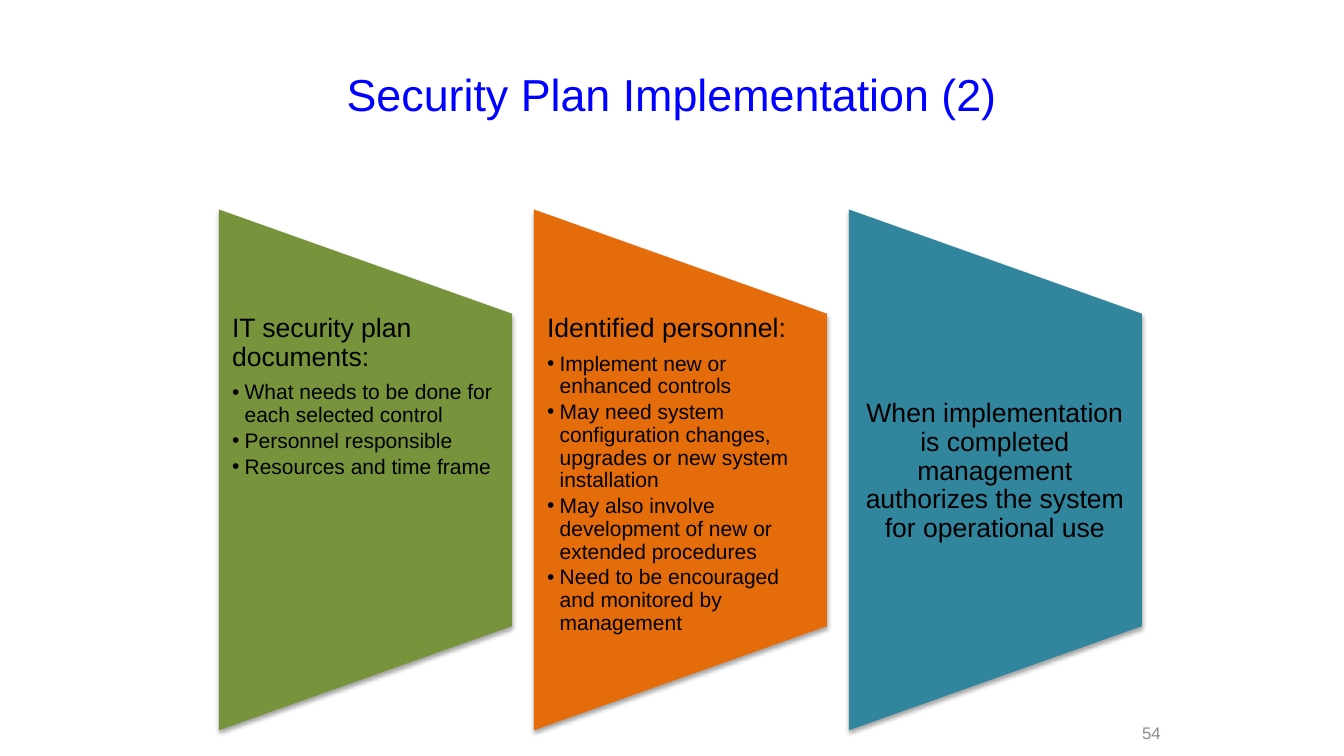
from lxml import etree
from pptx import Presentation
from pptx.dml.color import RGBColor
from pptx.enum.shapes import MSO_SHAPE as Preset
from pptx.enum.text import MSO_ANCHOR as Anchor, MSO_AUTO_SIZE as AutoSize, PP_ALIGN as Align
from pptx.oxml.ns import qn
from pptx.util import Emu, Pt

COLOURS = {
    "title": "0000FF",
    "text": "000000",
    "number": "8C8C8C",
    "green": "77933C",
    "orange": "E46C0A",
    "teal": "31859C",
}
TWO_CONTENT_LAYOUT = 3
PANEL_LEFT, PANEL_TOP, PANEL_WIDTH, PANEL_HEIGHT, PANEL_PITCH = 208, 200, 279, 496, 300
TEXT_TOP, TEXT_HEIGHT = 300, 298

DOCUMENTS = [
    "IT security plan documents:",
    "What needs to be done for each selected control",
    "Personnel responsible",
    "Resources and time frame",
]
PERSONNEL = [
    "Identified personnel:",
    "Implement new or enhanced controls",
    "May need system configuration changes, upgrades or new system installation",
    "May also involve development of new or extended procedures",
    "Need to be encouraged and monitored by management",
]
COMPLETION = ["When implementation is completed management authorizes the system for operational use"]


def px(length):
    return Emu(length * 9525)


def rgb(name):
    return RGBColor.from_string(COLOURS[name])


class SlideBuilder:
    FONT = "Arial"
    HEADING_SIZE, BULLET_SIZE = 19, 15
    BULLET_INDENT = 12

    def __init__(self, slide):
        self.slide = slide

    def place(self, shape, left, top, width, height):
        shape.left, shape.top = px(left), px(top)
        shape.width, shape.height = px(width), px(height)

    def format_paragraph(self, paragraph, size, colour, align):
        paragraph.alignment = align
        for run in paragraph.runs:
            run.font.name = self.FONT
            run.font.size = Pt(size)
            run.font.color.rgb = rgb(colour)

    def text(self, shape, text, size, colour, align):
        frame = shape.text_frame
        frame.word_wrap = True
        frame.auto_size = AutoSize.NONE
        frame.vertical_anchor = Anchor.MIDDLE
        frame.text = text
        self.format_paragraph(frame.paragraphs[0], size, colour, align)

    def title(self, text, *box):
        shape = self.slide.shapes.title
        self.place(shape, *box)
        self.text(shape, text, 32, "title", Align.CENTER)

    def number(self, text, *box):
        shape = self.slide.shapes.add_textbox(*map(px, box))
        self.text(shape, text, 12, "number", Align.RIGHT)

    def panel(self, colour, left, top, width, height):
        # The preset is turned on its side, so its own width is the visible height
        shape = self.slide.shapes.add_shape(Preset.FLOWCHART_MANUAL_OPERATION, 0, 0, 0, 0)
        offset = (height - width) // 2
        self.place(shape, left - offset, top + offset, height, width)
        shape.rotation = 270
        shape.fill.solid()
        shape.fill.fore_color.rgb = rgb(colour)
        shape.line.fill.background()
        self.shadow(shape)

    def shadow(self, shape):
        shape.shadow.inherit = False
        effects = shape.element.spPr.find(qn("a:effectLst"))
        outer = etree.SubElement(effects, qn("a:outerShdw"), blurRad="40000",
                                 dist="23000", dir="5400000", rotWithShape="0")
        black = etree.SubElement(outer, qn("a:srgbClr"), val="000000")
        etree.SubElement(black, qn("a:alpha"), val="35000")

    def bullet(self, paragraph, symbol):
        properties = paragraph._p.get_or_add_pPr()
        indent = px(self.BULLET_INDENT) if symbol else 0
        properties.set("marL", str(indent))
        properties.set("indent", str(-indent))
        if symbol:
            etree.SubElement(properties, qn("a:buChar"), char=symbol)
        else:
            etree.SubElement(properties, qn("a:buNone"))

    def panel_text(self, shape, lines, align, anchor, *box):
        self.place(shape, *box)
        # Bring the text in front of the panels
        shape.element.getparent().append(shape.element)
        frame = shape.text_frame
        frame.word_wrap = True
        frame.auto_size = AutoSize.NONE
        frame.vertical_anchor = anchor
        frame.margin_left = frame.margin_right = px(13)
        frame.margin_top = frame.margin_bottom = 0
        frame.text = "\n".join(lines)
        for index, paragraph in enumerate(frame.paragraphs):
            is_bullet = index > 0
            size = self.BULLET_SIZE if is_bullet else self.HEADING_SIZE
            self.bullet(paragraph, "•" if is_bullet else None)
            paragraph.level = int(is_bullet)
            paragraph.line_spacing = 0.9
            paragraph.space_before = Pt(0)
            paragraph.space_after = Pt(size * (0.15 if is_bullet else 0.35))
            self.format_paragraph(paragraph, size, "text", align)


def main():
    presentation = Presentation()
    presentation.slide_width, presentation.slide_height = px(1280), px(720)
    slide = presentation.slides.add_slide(presentation.slide_layouts[TWO_CONTENT_LAYOUT])
    builder = SlideBuilder(slide)

    # Title and slide number
    builder.title("Security Plan Implementation (2)", 64, 29, 1152, 120)
    builder.number("54", 1049, 691, 66, 14)

    # Three panels: two lists and one closing statement
    first_list, second_list = slide.placeholders[1], slide.placeholders[2]
    statement = slide.shapes.add_textbox(0, 0, 0, 0)
    panels = [
        ("green", first_list, DOCUMENTS, Align.LEFT, Anchor.TOP),
        ("orange", second_list, PERSONNEL, Align.LEFT, Anchor.TOP),
        ("teal", statement, COMPLETION, Align.CENTER, Anchor.MIDDLE),
    ]
    for index, (colour, shape, lines, align, anchor) in enumerate(panels):
        left = PANEL_LEFT + index * PANEL_PITCH
        builder.panel(colour, left, PANEL_TOP, PANEL_WIDTH, PANEL_HEIGHT)
        builder.panel_text(shape, lines, align, anchor, left, TEXT_TOP, PANEL_WIDTH, TEXT_HEIGHT)

    presentation.save("out.pptx")


if __name__ == "__main__":
    main()
